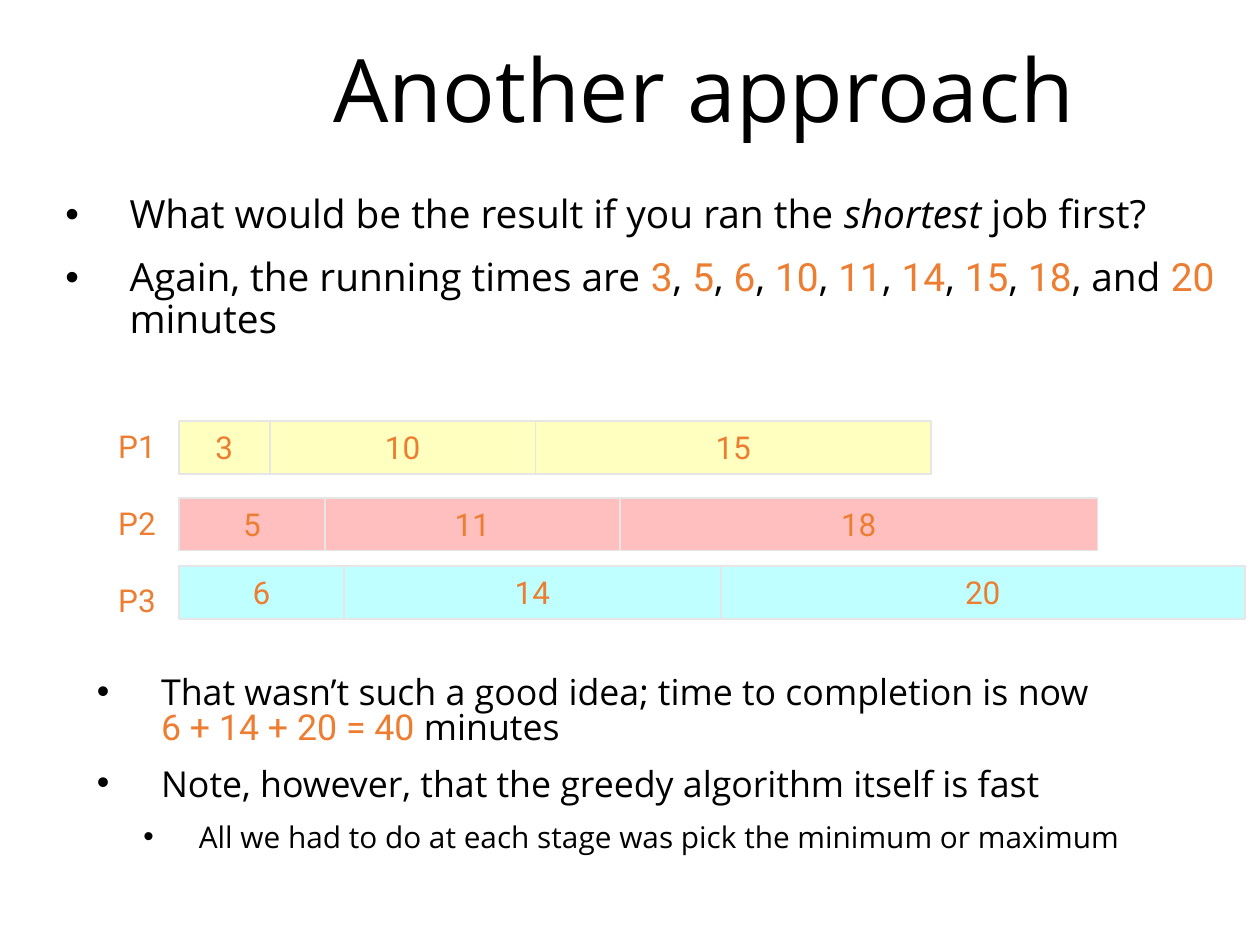
"""Build a slide that shows a shortest-job-first schedule on three processors."""
from itertools import pairwise

from lxml import etree
from pptx import Presentation
from pptx.dml.color import RGBColor
from pptx.enum.shapes import MSO_SHAPE
from pptx.enum.text import MSO_ANCHOR, PP_ALIGN
from pptx.oxml.ns import qn
from pptx.util import Inches, Pt

CENTER = PP_ALIGN.CENTER
MIDDLE = MSO_ANCHOR.MIDDLE
TOP = MSO_ANCHOR.TOP
RECTANGLE = MSO_SHAPE.RECTANGLE
TITLE_ONLY = 5
COLORS = {"text": "000000", "accent": "ED7D31", "line": "E7E6E6",
          "yellow": "FFFFBF", "red": "FFBFBF", "cyan": "BFFFFF"}
FONTS = {"text": "Open Sans", "accent": "Roboto"}


class ScheduleSlide:
    """Hold the style and the current slide."""

    def __init__(self, presentation):
        layout = presentation.slide_layouts[TITLE_ONLY]
        self.slide = presentation.slides.add_slide(layout)

    def color(self, name):
        return RGBColor.from_string(COLORS[name])

    def apply(self, target, values):
        for name, value in values.items():
            setattr(target, name, value)

    def add_text(self, paragraph, text, size, style="text", italic=False):
        for index, line in enumerate(text.split("\n")):
            if index:
                paragraph.add_line_break()
            if line:
                run = paragraph.add_run()
                run.text = line
                self.apply(run.font, {"size": Pt(size), "name": FONTS[style],
                                      "italic": italic})
                run.font.color.rgb = self.color(style)

    def frame(self, shape, anchor=TOP):
        self.apply(shape.text_frame, {
            "word_wrap": True, "vertical_anchor": anchor,
            "margin_left": Inches(0.1), "margin_right": Inches(0.1),
            "margin_top": Inches(0.05), "margin_bottom": Inches(0.05)})
        return shape.text_frame

    def text_box(self, box):
        return self.frame(self.slide.shapes.add_textbox(*map(Inches, box)))

    def paragraphs(self, frame, items):
        for index, item in enumerate(items):
            paragraph = frame.add_paragraph() if index else frame.paragraphs[0]
            yield index, paragraph, item

    def title(self, text, box):
        shape = self.slide.shapes.title
        shape.left, shape.top, shape.width, shape.height = map(Inches, box)
        paragraph = self.frame(shape, MIDDLE).paragraphs[0]
        self.apply(paragraph, {"alignment": CENTER, "line_spacing": 0.9})
        self.add_text(paragraph, text, 50)

    def bullets(self, box, items, spacing):
        frame = self.text_box(box)
        for _, paragraph, (level, size, runs) in self.paragraphs(frame, items):
            self.apply(paragraph, {"level": level, "line_spacing": spacing,
                                   "space_before": Pt(6), "space_after": Pt(6)})
            margin, indent = ((0.51, -0.51), (0.81, -0.44))[level]
            properties = paragraph._p.get_or_add_pPr()
            properties.set("marL", str(Inches(margin)))
            properties.set("indent", str(Inches(indent)))
            etree.SubElement(properties, qn("a:buFont")).set("typeface", "Arial")
            etree.SubElement(properties, qn("a:buChar")).set("char", "•")
            for text, *style in runs:
                self.add_text(paragraph, text, size, *style)

    def bar(self, left, right, top, fill, time):
        box = (left, top, right - left, 0.42)
        shape = self.slide.shapes.add_shape(RECTANGLE, *map(Inches, box))
        shape.shadow.inherit = False
        shape.fill.solid()
        shape.fill.fore_color.rgb = self.color(fill)
        shape.line.color.rgb = self.color("line")
        shape.line.width = Pt(1)
        paragraph = self.frame(shape, MIDDLE).paragraphs[0]
        paragraph.alignment = CENTER
        self.add_text(paragraph, str(time), 18, "accent")

    def labels(self, box, names):
        frame = self.text_box(box)
        for index, paragraph, name in self.paragraphs(frame, names):
            if index:
                paragraph.space_before = Pt(22.3)
            self.add_text(paragraph, name, 18, "accent")


def main():
    presentation = Presentation()
    presentation.slide_width, presentation.slide_height = Inches(10), Inches(7.5)
    schedule = ScheduleSlide(presentation)
    schedule.title("Another approach", (1.33, 0.33, 8.52, 0.83))

    times = [("Again, the running times are ",)]
    for time in (3, 5, 6, 10, 11, 14, 15, 18):
        times += [(str(time), "accent"), (", and " if time == 18 else ", ",)]
    times += [("20", "accent"), (" minutes",)]
    question = [("What would be the result if you ran the ",),
                ("shortest", "text", True), (" job first?",)]
    schedule.bullets((0.42, 1.5, 9.38, 1.57),
                     [(0, 22.2, question), (0, 22.2, times)], 0.9)

    result = [("That wasn’t such a good idea; time to completion is now\n",),
              ("6 + 14 + 20 = 40", "accent"), (" minutes",)]
    note = [("Note, however, that the greedy algorithm itself is fast",)]
    reason = [("All we had to do at each stage was pick the minimum or maximum",)]
    schedule.bullets((0.67, 5.33, 8.58, 2),
                     [(0, 20.4, result), (0, 20.4, note), (1, 17, reason)], 0.82)

    processors = [(3.34, "yellow", (3, 10, 15), (1.42, 2.14, 4.25, 7.39)),
                  (3.95, "red", (5, 11, 18), (1.42, 2.58, 4.92, 8.71)),
                  (4.49, "cyan", (6, 14, 20), (1.42, 2.73, 5.72, 9.88))]
    for top, fill, jobs, edges in processors:
        for time, (left, right) in zip(jobs, pairwise(edges)):
            schedule.bar(left, right, top, fill, time)
    schedule.labels((0.84, 3.34, 0.66, 1.61), ("P1", "P2", "P3"))
    presentation.save("out.pptx")


main()
